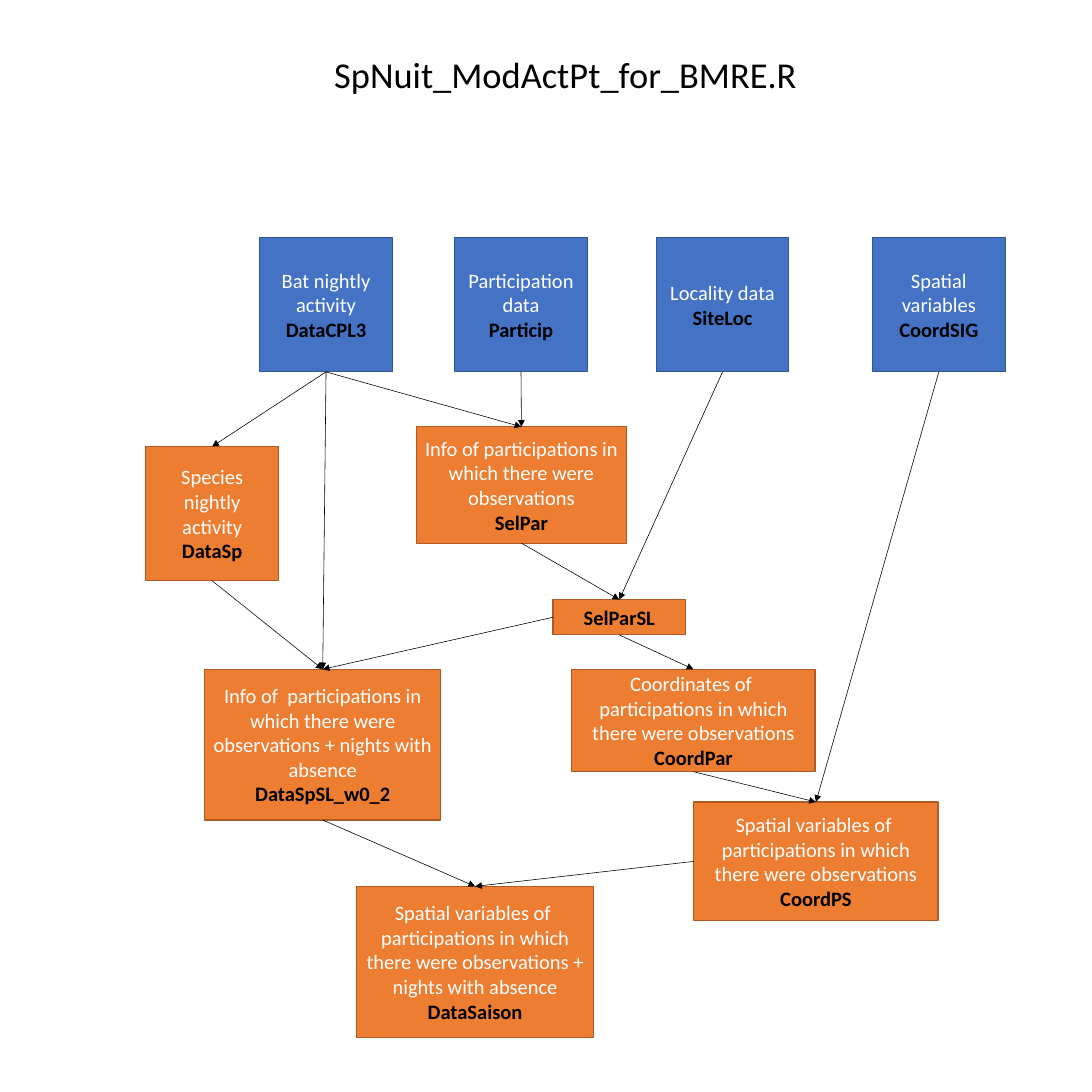
"""Draws the data flow of a bat activity script as linked boxes."""
import pptx
import pptx.util
import pptx.dml.color
import pptx.enum.shapes
import pptx.enum.text
import pptx.oxml
import pptx.oxml.ns

Inches = pptx.util.Inches
Align = pptx.enum.text.PP_ALIGN
Anchor = pptx.enum.text.MSO_ANCHOR
TOP, LEFT, BASE = 0, 1, 2
BLUE, RUST = ("4472C4", "325491"), ("ED7D31", "AF5C24")


def tint(code):
    return pptx.dml.color.RGBColor.from_string(code)


def apply(item, style):
    for name, value in style.items():
        setattr(item, name, value)


class Chart:
    """Holds the style and the current slide."""

    body = {"name": "Calibri", "size": pptx.util.Pt(18), "bold": False}
    code = {**body, "bold": True}
    head = {**body, "size": pptx.util.Pt(32)}

    def __init__(self, deck):
        self.slide = deck.slides.add_slide(deck.slide_layouts[5])
        self.nodes = {}

    def label(self, para, text, style, color, align):
        para.alignment = align
        run = para.add_run()
        run.text = text
        apply(run.font, style)
        run.font.color.rgb = tint(color)

    def title(self, text, *area):
        shape = self.slide.shapes.title
        apply(shape, dict(zip(("left", "top", "width", "height"), map(Inches, area))))
        frame = shape.text_frame
        apply(frame, {"word_wrap": True, "vertical_anchor": Anchor.TOP,
                      "auto_size": pptx.enum.text.MSO_AUTO_SIZE.NONE})
        self.label(frame.paragraphs[0], text, self.head, "000000", Align.LEFT)

    def box(self, name, text, paint, *area):
        kind = pptx.enum.shapes.MSO_SHAPE.RECTANGLE
        shape = self.slide.shapes.add_shape(kind, *map(Inches, area))
        shape.shadow.inherit = False
        shape.fill.solid()
        shape.fill.fore_color.rgb = tint(paint[0])
        shape.line.color.rgb = tint(paint[1])
        shape.line.width = pptx.util.Pt(1)
        frame = shape.text_frame
        apply(frame, {"word_wrap": True, "vertical_anchor": Anchor.MIDDLE})
        para = frame.paragraphs[0]
        if text:
            self.label(para, text, self.body, "FFFFFF", Align.CENTER)
            para = frame.add_paragraph()
        self.label(para, name, self.code, "000000", Align.CENTER)
        self.nodes[name] = shape

    def link(self, start, end, side=BASE):
        kind = pptx.enum.shapes.MSO_CONNECTOR.STRAIGHT
        line = self.slide.shapes.add_connector(kind, 0, 0, 0, 0)
        line.begin_connect(self.nodes[start], side)
        line.end_connect(self.nodes[end], TOP)
        line.line.color.rgb = tint("000000")
        line.line.width = pptx.util.Pt(0.5)
        space = pptx.oxml.ns.nsdecls("a")
        props = line.element.spPr
        tip = pptx.oxml.parse_xml(f'<a:tailEnd {space} type="triangle"/>')
        props.find(pptx.oxml.ns.qn("a:ln")).append(tip)
        props.append(pptx.oxml.parse_xml(f"<a:effectLst {space}/>"))


deck = pptx.Presentation()
apply(deck, {"slide_width": Inches(13.33), "slide_height": Inches(13.33)})
chart = Chart(deck)
chart.title("SpNuit_ModActPt_for_BMRE.R", 3.98, 0.59, 6.48, 0.64)

inputs = [
    ("DataCPL3", "Bat nightly activity", 3.17),
    ("Particip", "Participation data", 5.55),
    ("SiteLoc", "Locality data", 8.01),
    ("CoordSIG", "Spatial variables", 10.65),
]
for name, text, left in inputs:
    chart.box(name, text, BLUE, left, 2.9, 1.62, 1.64)

seen = "participations in which there were observations"
steps = [
    ("DataSp", "Species nightly activity", 1.78, 5.45, 1.62, 1.64),
    ("SelPar", f"Info of {seen}", 5.08, 5.21, 2.57, 1.42),
    ("SelParSL", "", 6.75, 7.32, 1.62, 0.43),
    ("CoordPar", f"Coordinates of  {seen}", 6.98, 8.17, 2.97, 1.25),
    ("CoordPS", f"Spatial variables of  {seen}", 8.47, 9.79, 2.98, 1.45),
    ("DataSpSL_w0_2", f"Info of  {seen} + nights with absence", 2.5, 8.17, 2.88, 1.84),
    ("DataSaison", f"Spatial variables of  {seen} + nights with absence",
     4.35, 10.82, 2.9, 1.84),
]
for name, text, *area in steps:
    chart.box(name, text, RUST, *area)

links = [
    ("DataCPL3", "SelPar"),
    ("DataCPL3", "DataSp"),
    ("DataCPL3", "DataSpSL_w0_2"),
    ("Particip", "SelPar"),
    ("SiteLoc", "SelParSL"),
    ("SelPar", "SelParSL"),
    ("SelParSL", "CoordPar"),
    ("SelParSL", "DataSpSL_w0_2", LEFT),
    ("CoordSIG", "CoordPS"),
    ("CoordPar", "CoordPS"),
    ("DataSp", "DataSpSL_w0_2"),
    ("DataSpSL_w0_2", "DataSaison"),
    ("CoordPS", "DataSaison", LEFT),
]
for ends in links:
    chart.link(*ends)

deck.save("out.pptx")
